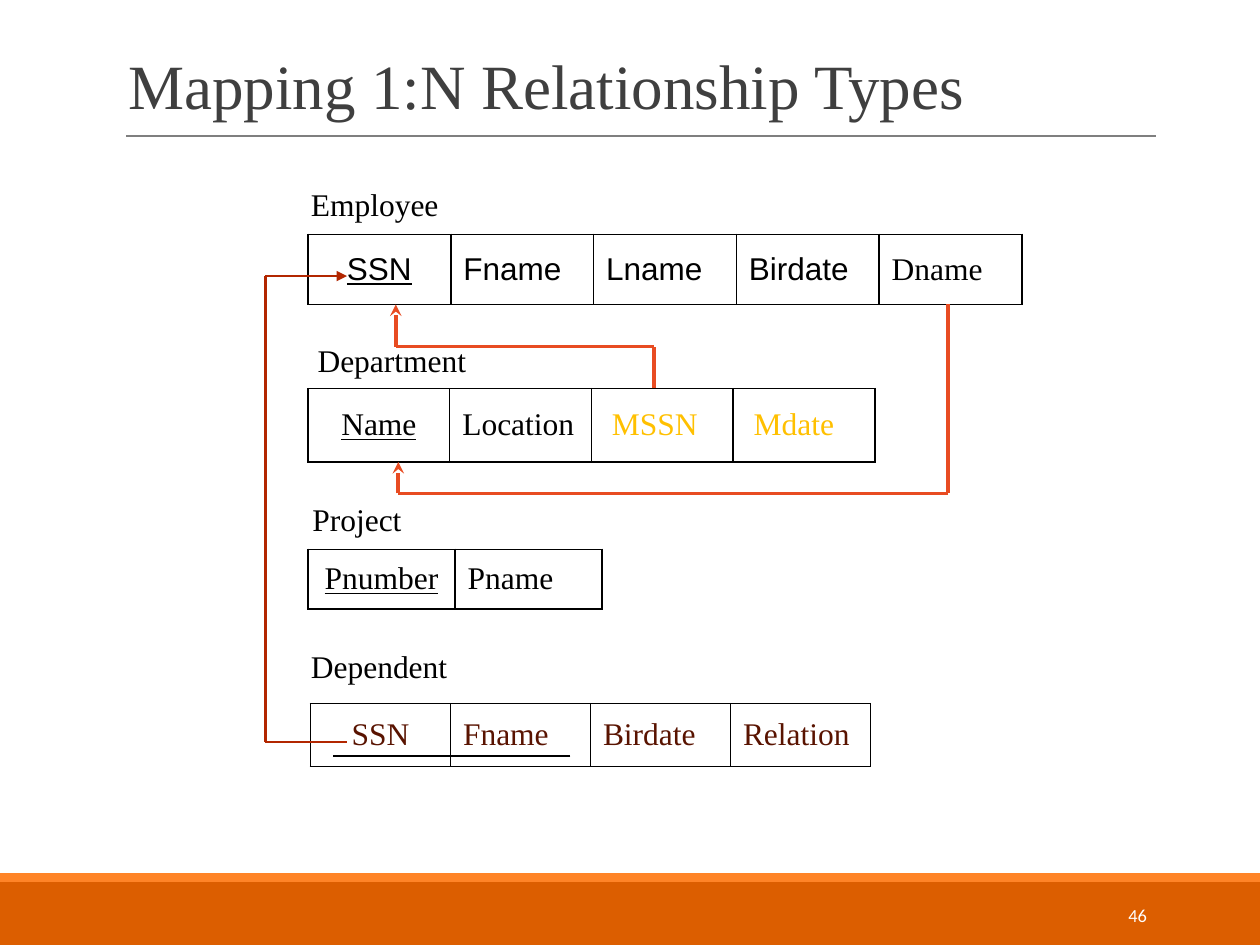
"""Builds the slide on mapping 1:N relationship types to relational tables."""
from itertools import pairwise

from lxml.etree import SubElement
from pptx import Presentation
from pptx.dml.color import RGBColor
from pptx.enum.shapes import MSO_CONNECTOR, MSO_SHAPE
from pptx.enum.text import MSO_ANCHOR, PP_ALIGN
from pptx.oxml import parse_xml
from pptx.oxml.ns import nsdecls, qn
from pptx.util import Pt

SERIF = "Times New Roman"
COLORS = {
    "black": "000000", "white": "FFFFFF", "title": "3F3F3F", "rule": "7F7F7F",
    "footer": "DC5E00", "stripe": "FF8427", "relationship": "FFC000",
    "dependent": "591300", "foreign_key": "E84C22", "owner_key": "B22600",
}


def color(name):
    return RGBColor.from_string(COLORS[name])


def add_run(paragraph, text, size=18, font=SERIF, ink="black", underline=False):
    run = paragraph.add_run()
    run.text = text
    run.font.size = Pt(size)
    run.font.name = font
    run.font.color.rgb = color(ink)
    run.font.underline = underline


def add_band(slide, top, height, fill):
    band = slide.shapes.add_shape(MSO_SHAPE.RECTANGLE, 0, Pt(top), Pt(720), Pt(height))
    band.shadow.inherit = False
    band.fill.solid()
    band.fill.fore_color.rgb = color(fill)
    band.line.fill.background()


def add_label(slide, text, left, top, width, height=28.8, anchor=MSO_ANCHOR.TOP,
              align=PP_ALIGN.LEFT, spacing=1.0, **style):
    label = slide.shapes.add_textbox(Pt(left), Pt(top), Pt(width), Pt(height))
    frame = label.text_frame
    frame.word_wrap = True
    frame.vertical_anchor = anchor
    paragraph = frame.paragraphs[0]
    paragraph.alignment = align
    paragraph.line_spacing = spacing
    add_run(paragraph, text, **style)


def add_borders(cell):
    properties = cell._tc.get_or_add_tcPr()
    for index, side in enumerate(("lnL", "lnR", "lnT", "lnB")):
        properties.insert(index, parse_xml(
            f'<a:{side} {nsdecls("a")} w="{Pt(1)}"><a:solidFill>'
            f'<a:srgbClr val="{COLORS["black"]}"/></a:solidFill></a:{side}>'))


def add_relation(slide, left, top, column_width, height, attributes):
    """Draw a one-row relation whose first attribute, the key, is centred."""
    frame = slide.shapes.add_table(1, len(attributes), Pt(left), Pt(top),
                                   Pt(column_width * len(attributes)), Pt(height))
    relation = frame.table
    relation.first_row = relation.horz_banding = False
    relation.rows[0].height = Pt(height)
    for index, (name, style) in enumerate(attributes):
        relation.columns[index].width = Pt(column_width)
        cell = relation.cell(0, index)
        cell.fill.background()
        cell.vertical_anchor = MSO_ANCHOR.MIDDLE
        add_borders(cell)
        paragraph = cell.text_frame.paragraphs[0]
        paragraph.alignment = PP_ALIGN.LEFT if index else PP_ALIGN.CENTER
        add_run(paragraph, name, **style)


def add_route(slide, points, ink, width, arrowhead=None):
    """Draw straight legs through the points, with an arrowhead at the last."""
    for (x1, y1), (x2, y2) in pairwise(points):
        leg = slide.shapes.add_connector(
            MSO_CONNECTOR.STRAIGHT, Pt(x1), Pt(y1), Pt(x2), Pt(y2))
        leg.line.color.rgb = color(ink)
        leg.line.width = Pt(width)
        if arrowhead and (x2, y2) == points[-1]:
            SubElement(leg.line._get_or_add_ln(), qn("a:tailEnd"), type=arrowhead)
        SubElement(leg._element.spPr, qn("a:effectLst"))


def add_page_frame(slide):
    add_band(slide, 504, 36, "footer")
    add_band(slide, 499, 5, "stripe")
    add_route(slide, [(72, 77.8), (660.4, 77.8)], "rule", 0.75)
    add_label(slide, "Mapping 1:N Relationship Types", 66.2, 18, 594, 55.4,
              anchor=MSO_ANCHOR.BOTTOM, spacing=0.85, size=36, ink="title")
    add_label(slide, "46", 584.6, 508.4, 77.8, anchor=MSO_ANCHOR.MIDDLE,
              align=PP_ALIGN.RIGHT, size=10.5, font="Calibri", ink="white")


def add_relations(slide):
    arial = {"font": "Arial"}
    key = {"underline": True}
    added = {"ink": "relationship"}
    weak = {"ink": "dependent"}

    add_label(slide, "Employee", 170.6, 102.4, 112)
    add_relation(slide, 176, 134, 81.6, 40, [
        ("SSN", arial | key), ("Fname", arial), ("Lname", arial),
        ("Birdate", arial), ("Dname", {})])

    add_label(slide, "Department", 174.4, 191.5, 112)
    add_relation(slide, 176, 222, 81, 42, [
        ("Name", key), ("Location", {}), (" MSSN", added), (" Mdate", added)])

    add_label(slide, "Project", 171.4, 282.3, 112)
    add_relation(slide, 176, 314, 84, 34, [("Pnumber", key), ("Pname", {})])

    add_label(slide, "Dependent", 170.6, 366, 112)
    add_relation(slide, 177.4, 402, 80, 36, [
        (name, weak) for name in ("SSN", "Fname", "Birdate", "Relation")])


def add_references(slide):
    add_route(slide, [(326, 432), (190.3, 432)], "black", 1.5)
    add_route(slide, [(373.7, 222), (373.7, 198), (226.2, 198), (226.2, 174)],
              "foreign_key", 2.25, "stealth")
    add_route(slide, [(541.8, 174), (541.8, 282), (227.6, 282), (227.6, 264)],
              "foreign_key", 2.25, "stealth")
    add_route(slide, [(198.3, 424), (151.6, 424), (151.6, 157.8), (198.3, 157.8)],
              "owner_key", 1.5, "triangle")


def main():
    presentation = Presentation()
    presentation.slide_width, presentation.slide_height = Pt(720), Pt(540)
    slide = presentation.slides.add_slide(presentation.slide_layouts[6])
    add_page_frame(slide)
    add_relations(slide)
    add_references(slide)
    presentation.save("out.pptx")


if __name__ == "__main__":
    main()
